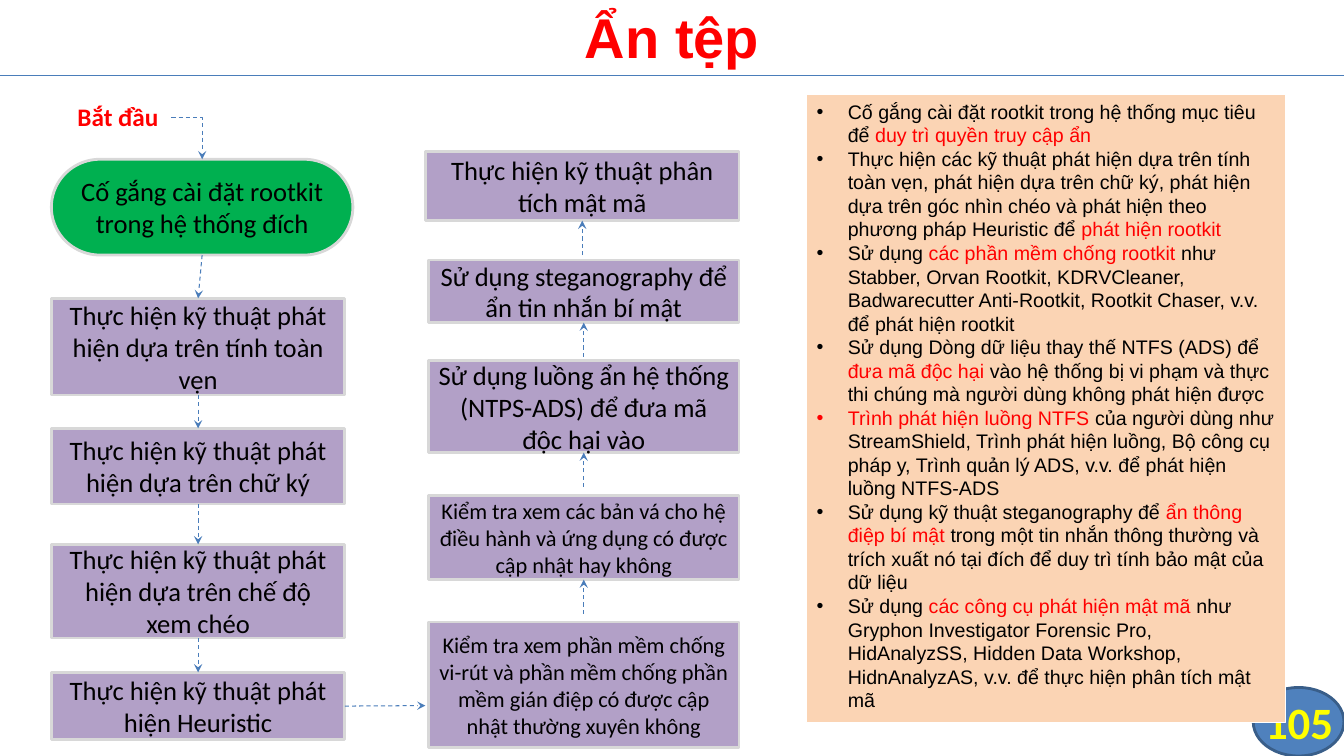
import pptx
import pptx.util
import pptx.dml.color
import pptx.enum.dml
import pptx.enum.shapes
import pptx.enum.text
import lxml.etree
from dataclasses import dataclass
from pptx.util import Inches, Pt

SHAPE = pptx.enum.shapes.MSO_SHAPE
CONNECTOR = pptx.enum.shapes.MSO_CONNECTOR
ALIGN = pptx.enum.text.PP_ALIGN
ANCHOR = pptx.enum.text.MSO_ANCHOR
TOP, BOTTOM, RIGHT = 0, 2, 3


@dataclass
class Theme:
    heading_font: str = "Arial"
    body_font: str = "Calibri"
    black: str = "000000"
    red: str = "FF0000"
    yellow: str = "FFFF00"
    white: str = "FFFFFF"
    green: str = "00B050"
    step: str = "B2A0C7"
    step_line: str = "D8D8D8"
    panel: str = "FBD4B4"
    badge: str = "4F81BD"
    badge_line: str = "395E89"
    arrow: str = "4A7DBA"
    title_size: int = 40
    number_size: int = 32
    step_size: int = 19
    small_size: int = 16
    label_size: int = 18
    panel_size: int = 14


def rgb(value):
    return pptx.dml.color.RGBColor.from_string(value)


def add_xml(parent, tag, **attributes):
    return lxml.etree.SubElement(parent, pptx.oxml.ns.qn(tag), attributes)


class SlideBuilder:
    def __init__(self, slide, theme):
        self.slide = slide
        self.theme = theme

    def font(self, p, size, color, name, bold=False):
        p.font.size = Pt(size)
        p.font.name = name
        p.font.bold = bold
        p.font.color.rgb = rgb(color)

    def place(self, sp, box):
        sp.left, sp.top, sp.width, sp.height = map(Inches, box)

    def title(self, text, box):
        sp = self.slide.shapes.title
        self.place(sp, box)
        tf = sp.text_frame
        tf.text = text
        tf.vertical_anchor = ANCHOR.MIDDLE
        p = tf.paragraphs[0]
        p.alignment = ALIGN.CENTER
        self.font(p, self.theme.title_size, self.theme.red, self.theme.heading_font, True)

    def label(self, text, box, size, color, align=ALIGN.LEFT, anchor=ANCHOR.TOP, inset=None):
        tf = self.slide.shapes.add_textbox(*map(Inches, box)).text_frame
        tf.word_wrap = True
        tf.vertical_anchor = anchor
        if inset is not None:
            tf.margin_left = tf.margin_right = tf.margin_top = tf.margin_bottom = Inches(inset)
        tf.text = text
        p = tf.paragraphs[0]
        p.alignment = align
        self.font(p, size, color, self.theme.body_font, True)

    def shape(self, kind, box, fill, line, width=2):
        sp = self.slide.shapes.add_shape(kind, *map(Inches, box))
        sp.shadow.inherit = False
        sp.fill.solid()
        sp.fill.fore_color.rgb = rgb(fill)
        sp.line.color.rgb = rgb(line)
        sp.line.width = Pt(width)
        return sp

    def step(self, text, box, size, kind=SHAPE.RECTANGLE, fill=None):
        sp = self.shape(kind, box, fill or self.theme.step, self.theme.step_line)
        tf = sp.text_frame
        tf.word_wrap = True
        tf.vertical_anchor = ANCHOR.MIDDLE
        tf.text = text
        p = tf.paragraphs[0]
        p.alignment = ALIGN.CENTER
        self.font(p, size, self.theme.black, self.theme.body_font)
        return sp

    def panel(self, points, box):
        theme = self.theme
        sp = self.shape(SHAPE.RECTANGLE, box, theme.panel, theme.white, 0.75)
        tf = sp.text_frame
        tf.word_wrap = True
        tf.auto_size = pptx.enum.text.MSO_AUTO_SIZE.SHAPE_TO_FIT_TEXT
        tf.vertical_anchor = ANCHOR.TOP
        for i, parts in enumerate(points):
            p = tf.add_paragraph() if i else tf.paragraphs[0]
            p.alignment = ALIGN.LEFT
            pPr = p._p.get_or_add_pPr()
            pPr.set("marL", str(Inches(0.31)))
            pPr.set("indent", str(-Inches(0.31)))
            bullet_color = add_xml(pPr, "a:buClr")
            add_xml(bullet_color, "a:srgbClr", val=theme.black if parts[0] else theme.red)
            add_xml(pPr, "a:buFont", typeface=theme.heading_font)
            add_xml(pPr, "a:buChar", char="•")
            self.font(p, theme.panel_size, theme.black, theme.heading_font)
            for j, part in enumerate(parts):
                if part:
                    r = p.add_run()
                    r.text = part
                    r.font.color.rgb = rgb(theme.red if j % 2 else theme.black)

    def line(self, start, end, kind=CONNECTOR.STRAIGHT):
        cxn = self.slide.shapes.add_connector(kind, *map(Inches, start + end))
        cxn.line.color.rgb = rgb(self.theme.arrow)
        cxn.line.width = Pt(0.75)
        add_xml(cxn._element.spPr, "a:effectLst")
        return cxn

    def arrow(self, start, end, source=None, target=None, kind=CONNECTOR.STRAIGHT):
        cxn = self.line(start, end, kind)
        cxn.line.dash_style = pptx.enum.dml.MSO_LINE.DASH
        add_xml(cxn.line._get_or_add_ln(), "a:tailEnd", type="stealth")
        if source:
            cxn.begin_connect(*source)
        if target:
            cxn.end_connect(*target)
        return cxn


POINTS = [
    ("Cố gắng cài đặt rootkit trong hệ thống mục tiêu để ", "duy trì quyền truy cập ẩn"),
    ("Thực hiện các kỹ thuật phát hiện dựa trên tính toàn vẹn, phát hiện dựa trên chữ ký, phát hiện dựa trên "
     "góc nhìn chéo và phát hiện theo phương pháp Heuristic để ", "phát hiện rootkit"),
    ("Sử dụng ", "các phần mềm chống rootkit ",
     "như Stabber, Orvan Rootkit, KDRVCleaner, Badwarecutter Anti-Rootkit, Rootkit Chaser, v.v. để phát hiện rootkit"),
    ("Sử dụng Dòng dữ liệu thay thế NTFS (ADS) để ", "đưa mã độc hại ",
     "vào hệ thống bị vi phạm và thực thi chúng mà người dùng không phát hiện được"),
    ("", "Trình phát hiện luồng NTFS ",
     "của người dùng như StreamShield, Trình phát hiện luồng, Bộ công cụ pháp y, Trình quản lý ADS, v.v. "
     "để phát hiện luồng NTFS-ADS"),
    ("Sử dụng kỹ thuật steganography để ", "ẩn thông điệp bí mật ",
     "trong một tin nhắn thông thường và trích xuất nó tại đích để duy trì tính bảo mật của dữ liệu"),
    ("Sử dụng ", "các công cụ phát hiện mật mã ",
     "như Gryphon Investigator Forensic Pro, HidAnalyzSS, Hidden Data Workshop, HidnAnalyzAS, v.v. "
     "để thực hiện phân tích mật mã"),
]


def main():
    prs = pptx.Presentation()
    prs.slide_width, prs.slide_height = Inches(13.33), Inches(7.5)
    theme = Theme()
    s = SlideBuilder(prs.slides.add_slide(prs.slide_layouts[5]), theme)

    s.shape(SHAPE.FLOWCHART_CONNECTOR, (12.43, 6.82, 0.9, 0.68), theme.badge, theme.badge_line)
    s.line((0, 0.75), (13.33, 0.75))
    s.title("Ẩn tệp", (0, -0.03, 13.33, 0.78))
    s.label("105", (12.44, 6.82, 0.89, 0.68), theme.number_size, theme.yellow, ALIGN.CENTER, ANCHOR.MIDDLE, 0)
    s.panel(POINTS, (8, 0.94, 4.75, 6.23))
    s.label("Bắt đầu", (0.67, 0.96, 1.04, 0.4), theme.label_size, theme.red)

    install = s.step("Cố gắng cài đặt rootkit trong hệ thống đích", (0.51, 1.58, 2.99, 0.95),
                     theme.step_size, SHAPE.FLOWCHART_TERMINATOR, theme.green)
    elbow = s.arrow((1.7, 1.17), (2, 1.58), target=(install, TOP), kind=CONNECTOR.ELBOW)
    elbow._element.spPr.prstGeom.set("prst", "bentConnector2")

    previous, bottom = install, 2.53
    for text, top, height in [
        ("Thực hiện kỹ thuật phát hiện dựa trên tính toàn vẹn", 2.96, 0.96),
        ("Thực hiện kỹ thuật phát hiện dựa trên chữ ký", 4.25, 0.75),
        ("Thực hiện kỹ thuật phát hiện dựa trên chế độ xem chéo", 5.4, 0.93),
        ("Thực hiện kỹ thuật phát hiện Heuristic", 6.67, 0.67),
    ]:
        step = s.step(text, (0.51, top, 2.91, height), theme.step_size)
        s.arrow((1.96, bottom), (1.96, top), (previous, BOTTOM), (step, TOP))
        previous, bottom = step, top + height
    s.arrow((3.42, 7), (4.22, 7), source=(previous, RIGHT))

    s.step("Kiểm tra xem phần mềm chống vi-rút và phần mềm chống phần mềm gián điệp có được cập nhật "
           "thường xuyên không", (4.25, 6.17, 3.08, 1.25), theme.small_size)
    for text, left, top, height, size in [
        ("Kiểm tra xem các bản vá cho hệ điều hành và ứng dụng có được cập nhật hay không",
         4.25, 4.92, 0.83, theme.small_size),
        ("Sử dụng luồng ẩn hệ thống (NTPS-ADS) để đưa mã độc hại vào", 4.25, 3.58, 0.91, theme.step_size),
        ("Sử dụng steganography để ẩn tin nhắn bí mật", 4.25, 2.58, 0.62, theme.step_size),
        ("Thực hiện kỹ thuật phân tích mật mã", 4.22, 1.5, 0.69, theme.step_size),
    ]:
        width = 7.33 - left
        step = s.step(text, (left, top, width, height), size)
        center, bottom = left + width / 2, top + height
        s.arrow((center, bottom + 0.34), (center, bottom), target=(step, BOTTOM))

    prs.save("out.pptx")


if __name__ == "__main__":
    main()
